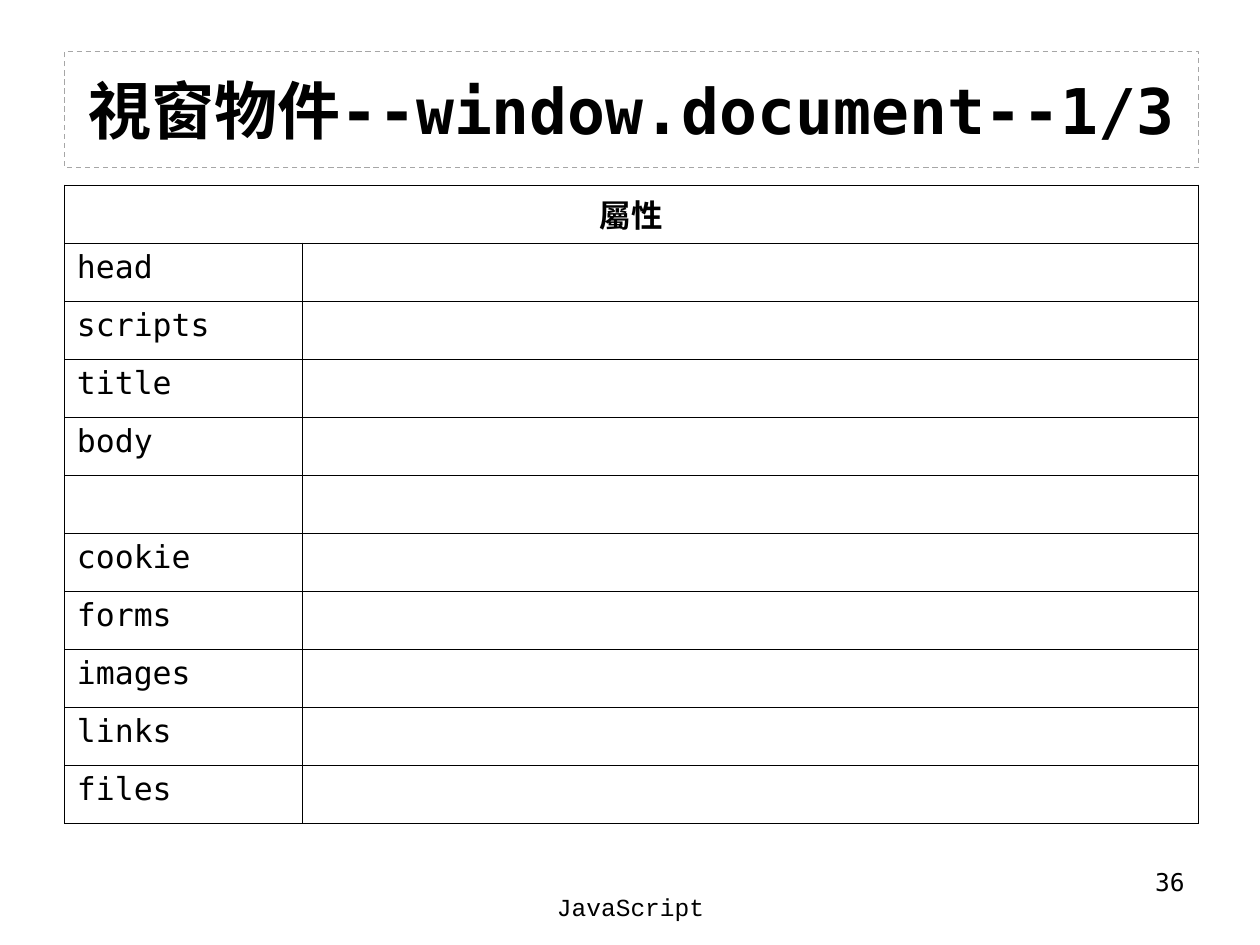
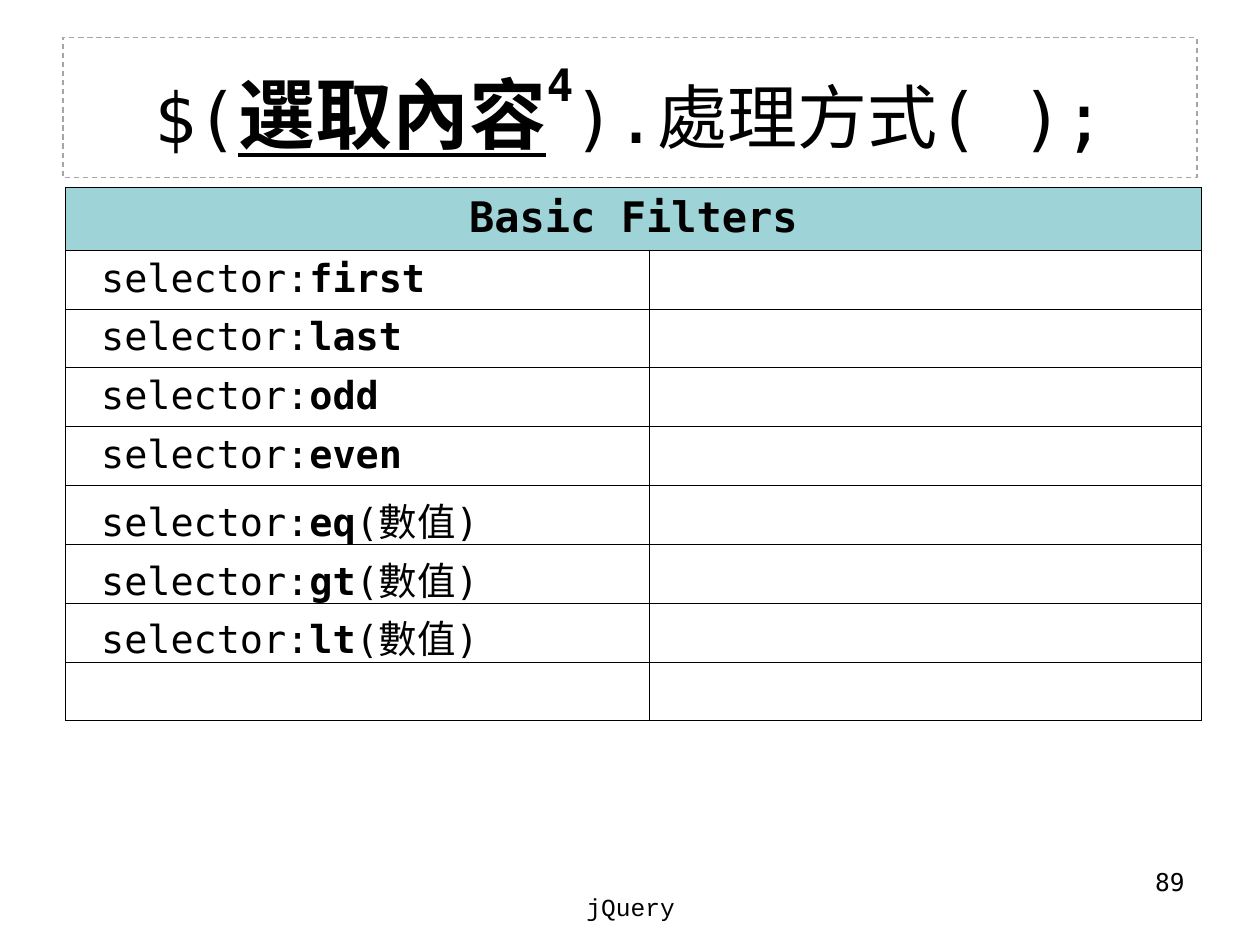
from dataclasses import dataclass
from typing import Optional

from lxml.etree import SubElement
from pptx import Presentation
from pptx.dml.color import RGBColor
from pptx.enum.dml import MSO_LINE_DASH_STYLE as Dash
from pptx.enum.text import MSO_ANCHOR as Anchor, PP_ALIGN as Align
from pptx.oxml.ns import qn
from pptx.util import Cm, Pt


@dataclass(frozen=True)
class Theme:
    ink: RGBColor = RGBColor(0x00, 0x00, 0x00)
    frame: RGBColor = RGBColor(0xA6, 0xA6, 0xA6)
    band: RGBColor = RGBColor(0x9E, 0xD3, 0xD7)
    mono: str = "DejaVu Sans Mono"
    courier: str = "Courier New"
    title: int = 36
    call: int = 40
    pick: int = 44
    head: int = 24
    code: int = 22
    body: int = 18
    foot: int = 14


THEME = Theme()


@dataclass(frozen=True)
class Run:
    text: str
    bold: bool = False
    size: Optional[int] = None
    under: bool = False
    base: int = 0  # raise, in percent


@dataclass(frozen=True)
class Box:
    left: float
    top: float
    width: float
    height: float

    def place(self) -> list:
        return [Cm(v) for v in (self.left, self.top, self.width, self.height)]


@dataclass(frozen=True)
class Grid:
    left: float
    top: float
    cols: tuple
    head: str
    rows: list
    head_size: int
    size: int
    head_high: float
    row_high: float
    pad: float = 0.25
    fill: Optional[RGBColor] = None


@dataclass(frozen=True)
class Page:
    title: list
    size: int
    box: Box
    grid: Grid
    topic: str
    number: str


NUMBER = Box(18.21, 17.35, 5.92, 1.32)
TOPIC = Box(8.69, 17.86, 8.05, 1.27)


def write(frame, runs: list, size: int, align=Align.LEFT, face: str = THEME.mono) -> None:
    """Fill the first paragraph of a text frame."""
    para = frame.paragraphs[0]
    para.alignment = align
    font = para.font
    font.name, font.size, font.color.rgb = face, Pt(size), THEME.ink
    for part in runs:
        run = para.add_run()
        run.text = part.text
        if part.bold:
            run.font.bold = True
        if part.size:
            run.font.size = Pt(part.size)
        if part.under:
            run.font.underline = True
        if part.base:
            run.font._element.set("baseline", str(part.base * 1000))


def add_text(slide, box: Box, runs: list, size: int, align, face: str = THEME.mono):
    shape = slide.shapes.add_textbox(*box.place())
    shape.text_frame.word_wrap = True
    write(shape.text_frame, runs, size, align, face)
    return shape


def add_title(slide, page: Page) -> None:
    shape = add_text(slide, page.box, page.title, page.size, Align.CENTER)
    shape.text_frame.vertical_anchor = Anchor.MIDDLE
    shape.text_frame.margin_left = shape.text_frame.margin_right = Cm(0.1)
    shape.line.color.rgb = THEME.frame
    shape.line.width = Pt(0.75)
    shape.line.dash_style = Dash.DASH


def style_cell(cell, fill: Optional[RGBColor] = None) -> None:
    """Thin border on each side, then the fill."""
    props = cell._tc.get_or_add_tcPr()
    for side in ("lnL", "lnR", "lnT", "lnB"):
        line = SubElement(props, qn(f"a:{side}"), w=str(Pt(0.45)))
        solid = SubElement(line, qn("a:solidFill"))
        SubElement(solid, qn("a:srgbClr"), val=str(THEME.ink))
    if fill is None:
        cell.fill.background()
    else:
        cell.fill.solid()
        cell.fill.fore_color.rgb = fill


def add_grid(slide, grid: Grid) -> None:
    count = len(grid.rows) + 1
    high = grid.head_high + grid.row_high * len(grid.rows)
    box = Box(grid.left, grid.top, sum(grid.cols), high)
    table = slide.shapes.add_table(count, len(grid.cols), *box.place()).table
    table.first_row = table.horz_banding = False
    for col, width in zip(table.columns, grid.cols):
        col.width = Cm(width)
    for i, row in enumerate(table.rows):
        row.height = Cm(grid.row_high if i else grid.head_high)
        for cell in row.cells:
            style_cell(cell, None if i else grid.fill)

    # Heading across both columns
    top = table.cell(0, 0)
    top.merge(table.cell(0, len(grid.cols) - 1))
    write(top.text_frame, [Run(grid.head, bold=True)], grid.head_size, Align.CENTER)

    # Entries in the first column
    for i, runs in enumerate(grid.rows, 1):
        if runs:
            cell = table.cell(i, 0)
            cell.margin_left = Cm(grid.pad)
            write(cell.text_frame, runs, grid.size)


def add_page(deck, page: Page) -> None:
    slide = deck.slides.add_slide(deck.slide_layouts[6])
    add_title(slide, page)
    add_grid(slide, page.grid)
    add_text(slide, NUMBER, [Run(page.number)], THEME.foot, Align.RIGHT)
    add_text(slide, TOPIC, [Run(page.topic)], THEME.foot, Align.CENTER, THEME.courier)


def filter_row(name: str, tail: str = "") -> list:
    runs = [Run("selector:"), Run(name, bold=True)]
    return runs + [Run(tail)] if tail else runs


# Content
FIELDS = ["head", "scripts", "title", "body", "", "cookie", "forms", "images", "links", "files"]
PLAIN = ["first", "last", "odd", "even"]
VALUED = ["eq", "gt", "lt"]

PAGES = [
    Page(
        title=[Run("視窗物件--window.document--1/3", bold=True)],
        size=THEME.title,
        box=Box(1.3, 1.04, 22.86, 2.34),
        grid=Grid(
            left=1.3, top=3.73, cols=(4.8, 18.06), head="屬性",
            rows=[[Run(name)] if name else [] for name in FIELDS],
            head_size=THEME.body, size=THEME.body, head_high=1.17, row_high=1.17,
        ),
        topic="JavaScript",
        number="36",
    ),
    Page(
        title=[
            Run("$("),
            Run("選取內容", bold=True, size=THEME.pick, under=True),
            Run("4", bold=True, size=THEME.pick, base=54),
            Run(").處理方式( );"),
        ],
        size=THEME.call,
        box=Box(1.27, 0.76, 22.86, 2.82),
        grid=Grid(
            left=1.32, top=3.77, cols=(11.78, 11.12), head="Basic Filters",
            rows=[filter_row(name) for name in PLAIN]
            + [filter_row(name, "(數值)") for name in VALUED] + [[]],
            head_size=THEME.head, size=THEME.code, head_high=1.27, row_high=1.18,
            pad=0.72, fill=THEME.band,
        ),
        topic="jQuery",
        number="89",
    ),
]


def main() -> None:
    deck = Presentation()
    deck.slide_width, deck.slide_height = Cm(25.4), Cm(19.05)
    for page in PAGES:
        add_page(deck, page)
    deck.save("out.pptx")


if __name__ == "__main__":
    main()
